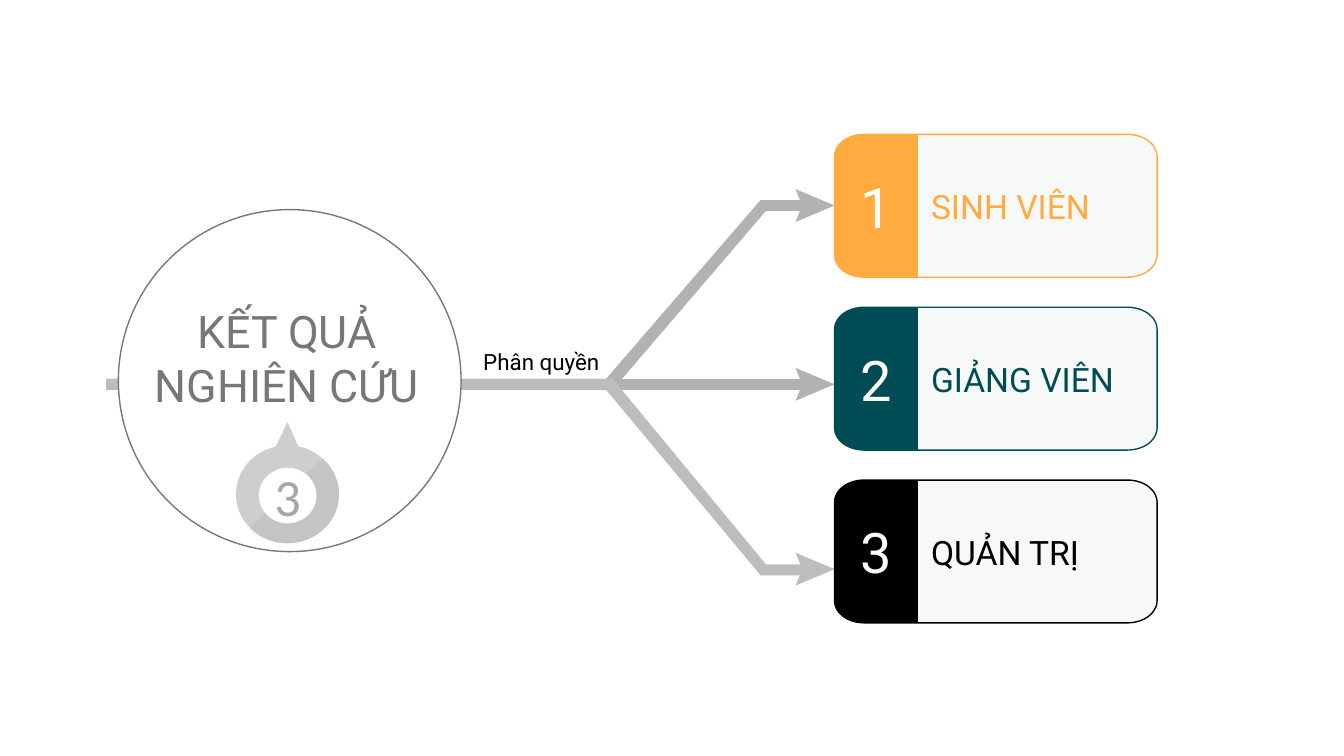
from math import cos, sin, radians

from pptx import Presentation
from pptx.dml.color import RGBColor
from pptx.enum.shapes import MSO_SHAPE as SHAPE
from pptx.enum.text import MSO_ANCHOR as ANCHOR, MSO_AUTO_SIZE as AUTO, PP_ALIGN as ALIGN
from pptx.util import Pt

COLORS = {
    "white": "FFFFFF", "black": "000000", "card": "F7F9F9",
    "orange": "FFAB40", "teal": "004C54", "title": "777777",
    "arrow": "B2B2B2", "arrow_low": "BDBDBD",
    "ring": "CECECE", "ring_dark": "C4C4C4", "badge": "A6A6A6",
}
ROLES = [("1", "SINH VIÊN", "orange"), ("2", "GIẢNG VIÊN", "teal"), ("3", "QUẢN TRỊ", "black")]

# Cards, in points
CARD_X, CARD_Y, CARD_W, CARD_H = 447.1, 72, 172.8, 76.5
CARD_STEP, TAB_W = 92.6, 44.6
CORNER_X, CORNER_Y = 15.8, 11.9

# Arrows, in points
STEM_X, STEM_END = 56.9, 431.3
STEM_TOP, STEM_BOTTOM = 203, 208.8


def rgb(name):
    return RGBColor.from_string(COLORS[name])


def paint(sp, fill, line=None):
    sp.shadow.inherit = False
    sp.fill.solid()
    sp.fill.fore_color.rgb = rgb(fill)
    if line:
        sp.line.color.rgb = rgb(line)
        sp.line.width = Pt(0.75)
    else:
        sp.line.fill.background()
    return sp


def write(sp, text, size, color, align=ALIGN.LEFT, anchor=ANCHOR.MIDDLE,
          font="Roboto", inset=7.2):
    tf = sp.text_frame
    tf.text = text
    tf.word_wrap = True
    tf.auto_size = AUTO.NONE
    tf.vertical_anchor = anchor
    tf.margin_left = tf.margin_right = tf.margin_top = tf.margin_bottom = Pt(inset)
    p = tf.paragraphs[0]
    p.alignment = align
    p.line_spacing = 1.0
    r = p.runs[0]
    r.font.size, r.font.name = Pt(size), font
    r.font.color.rgb = rgb(color)


def add_polygon(shapes, points, fill, line=None):
    pts = [(Pt(x), Pt(y)) for x, y in points]
    builder = shapes.build_freeform(*pts[0], scale=1.0)
    builder.add_line_segments(pts[1:], close=True)
    return paint(builder.convert_to_shape(), fill, line)


def add_preset(shapes, kind, x, y, w, h, fill, line=None):
    return paint(shapes.add_shape(kind, Pt(x), Pt(y), Pt(w), Pt(h)), fill, line)


def add_label(shapes, x, y, w, h, text, size, color, **style):
    write(shapes.add_textbox(Pt(x), Pt(y), Pt(w), Pt(h)), text, size, color, **style)


def corner(cx, cy, start):
    """Points of a quarter ellipse, clockwise from the start angle."""
    angles = [radians(start + step) for step in range(0, 91, 6)]
    return [(cx + CORNER_X * cos(a), cy + CORNER_Y * sin(a)) for a in angles]


def add_arrow(shapes, outline, y, fill):
    add_polygon(shapes, outline, fill)
    head = [(426.2, y - 8.8), (429.8, y), (426.2, y + 8.8), (CARD_X, y)]
    add_polygon(shapes, head, fill)


def add_card(shapes, y, number, name, color):
    left, right = CARD_X + CORNER_X, CARD_X + CARD_W - CORNER_X
    top, bottom = y + CORNER_Y, y + CARD_H - CORNER_Y
    left_side = corner(left, bottom, 90) + corner(left, top, 180)
    right_side = corner(right, top, 270) + corner(right, bottom, 0)
    add_polygon(shapes, left_side + right_side, "card", color)
    tab_edge = [(CARD_X + TAB_W, y), (CARD_X + TAB_W, y + CARD_H)]
    tab = add_polygon(shapes, left_side + tab_edge, color)
    write(tab, number, 30, "white", ALIGN.CENTER)
    add_label(shapes, CARD_X + TAB_W, y + 24.4, CARD_W - TAB_W, 28, name, 18, color)


def add_badge(shapes):
    group = shapes.add_group_shape().shapes
    add_polygon(group, [(146.2, 242.6), (154, 226.1), (161.3, 242.6)], "ring")
    ring = (126.4, 238.6, 55.2, 52.4)
    add_preset(group, SHAPE.OVAL, *ring, "ring")
    shade = add_preset(group, SHAPE.CHORD, *ring, "ring_dark")
    # Angles are in 60000ths of a degree, adjustments in 100000ths
    shade.adjustments[0], shade.adjustments[1] = 315 * 0.6, 138 * 0.6
    hole = add_preset(group, SHAPE.OVAL, 138.7, 250.6, 30.8, 29.8, "white")
    write(hole, "3", 28, "badge", ALIGN.CENTER, font="Calibri", inset=0)


def add_title(slide):
    sp = slide.shapes.title
    sp.left, sp.top, sp.width, sp.height = Pt(61.9), Pt(151.2), Pt(183.6), Pt(80.6)
    write(sp, "KẾT QUẢ NGHIÊN CỨU", 24, "title", ALIGN.CENTER)
    # Bring the title in front of the circle
    slide.shapes._spTree.append(sp._element)


def main():
    prs = Presentation()
    prs.slide_width, prs.slide_height = Pt(720), Pt(405)
    slide = prs.slides.add_slide(prs.slide_layouts[5])
    shapes = slide.shapes

    # Arrows: middle, upper, lower
    start = [(STEM_X, STEM_TOP), (STEM_X, STEM_BOTTOM)]
    middle = start + [(STEM_END, STEM_BOTTOM), (STEM_END, STEM_TOP)]
    upper = start + [(328.3, STEM_BOTTOM), (410.4, 113), (STEM_END, 113),
                     (STEM_END, 107.2), (407.5, 107.2), (324.7, STEM_TOP)]
    lower = start + [(324.7, STEM_BOTTOM), (407.5, 308.2), (STEM_END, 308.2),
                     (STEM_END, 302.4), (410.4, 302.4), (328.3, STEM_TOP)]
    add_arrow(shapes, middle, 205.9, "arrow")
    add_arrow(shapes, upper, 110.1, "arrow")
    add_arrow(shapes, lower, 304.9, "arrow_low")

    # Circle, role cards and badge
    add_preset(shapes, SHAPE.OVAL, 63.4, 112.3, 183.6, 183.2, "white", "title")
    for i, role in enumerate(ROLES):
        add_card(shapes, CARD_Y + i * CARD_STEP, *role)
    add_badge(shapes)

    # Title and stem label
    add_title(slide)
    add_label(shapes, 247.7, 179.3, 80.6, 28, "Phân quyền", 12, "black",
              align=ALIGN.RIGHT, anchor=ANCHOR.TOP)

    prs.save("out.pptx")


if __name__ == "__main__":
    main()
